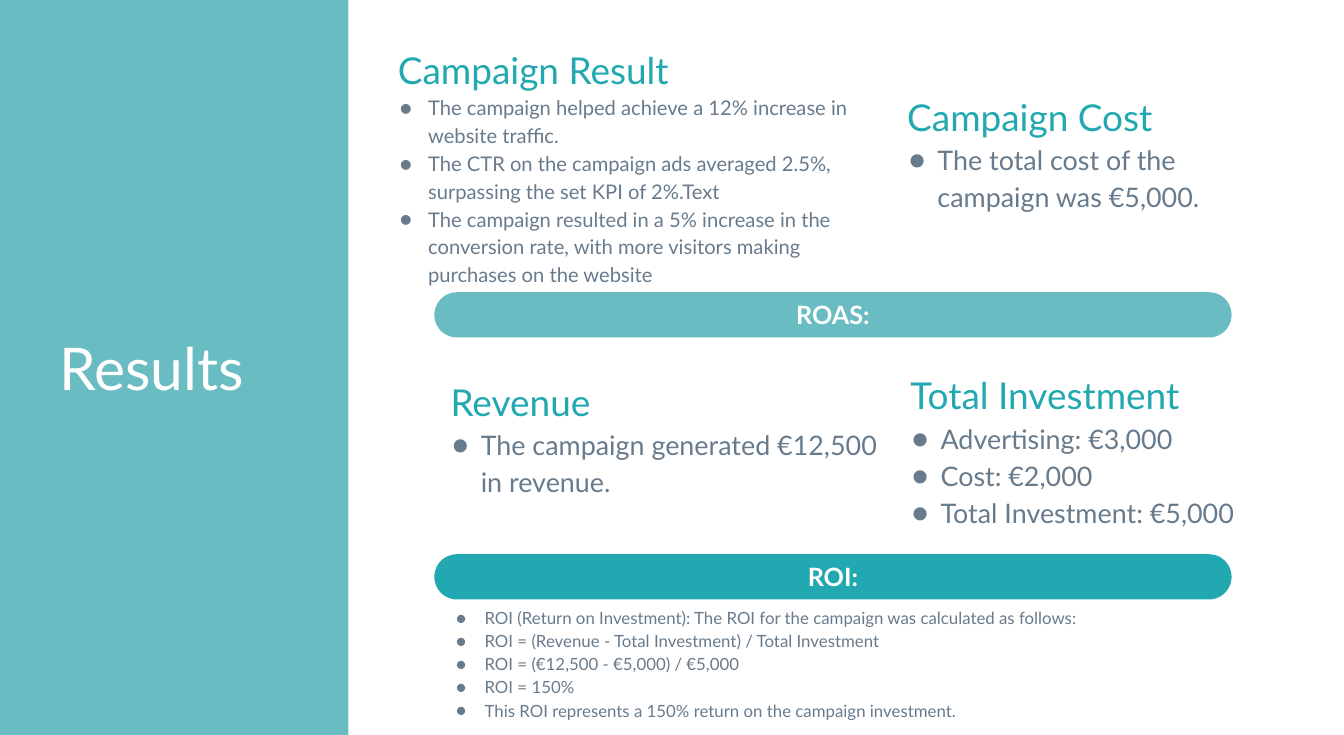
"""Build the campaign results slide."""
from dataclasses import dataclass

from lxml import etree
from pptx import Presentation
from pptx import util as u
from pptx.dml.color import RGBColor
from pptx.enum import shapes, text
from pptx.oxml import ns


@dataclass(frozen=True)
class Theme:
    font: str = "Lato"
    white: str = "FFFFFF"
    aqua: str = "69BCC1"
    teal: str = "21A8B0"
    slate: str = "677B8C"
    title: int = 70
    heading: int = 44
    label: int = 30
    large: int = 32
    medium: int = 24
    small: int = 20
    inset: float = 0.56
    heading_spacing: float = 1.5
    bullet_spacing: float = 1.15


THEME = Theme()


def add_run(paragraph, words, size, color, bold=False):
    run = paragraph.add_run()
    run.text = words
    run.font.name = THEME.font
    run.font.size = u.Pt(size)
    run.font.bold = bold
    run.font.color.rgb = RGBColor.from_string(color)


def add_filled_shape(slide, kind, box, color):
    shape = slide.shapes.add_shape(kind, *map(u.Cm, box))
    shape.shadow.inherit = False
    shape.fill.solid()
    shape.fill.fore_color.rgb = RGBColor.from_string(color)
    shape.line.fill.background()
    return shape


def add_text_frame(slide, box, anchor=text.MSO_ANCHOR.TOP):
    frame = slide.shapes.add_textbox(*map(u.Cm, box)).text_frame
    frame.word_wrap = True
    frame.vertical_anchor = anchor
    frame.margin_left = frame.margin_right = u.Cm(THEME.inset)
    frame.margin_top = frame.margin_bottom = u.Cm(THEME.inset)
    return frame


def add_bullet(paragraph):
    properties = paragraph._p.get_or_add_pPr()
    properties.set("marL", str(u.Cm(1.27)))
    properties.set("indent", str(u.Cm(-1.19)))
    color = etree.SubElement(properties, ns.qn("a:buClr"))
    etree.SubElement(color, ns.qn("a:srgbClr"), val=THEME.slate)
    etree.SubElement(properties, ns.qn("a:buFont"), typeface=THEME.font)
    etree.SubElement(properties, ns.qn("a:buChar"), char="●")


def add_text_block(slide, box, items, size, heading=None):
    frame = add_text_frame(slide, box)
    paragraph = frame.paragraphs[0]
    if heading:
        paragraph.line_spacing = THEME.heading_spacing
        add_run(paragraph, heading, THEME.heading, THEME.teal)
    for index, item in enumerate(items):
        if heading or index:
            paragraph = frame.add_paragraph()
        add_bullet(paragraph)
        paragraph.line_spacing = THEME.bullet_spacing
        add_run(paragraph, item, size, THEME.slate)


def add_label_bar(slide, top, color, label):
    bar = add_filled_shape(slide, shapes.MSO_SHAPE.ROUNDED_RECTANGLE,
                           (18.24, top, 33.48, 1.9), color)
    bar.adjustments[0] = 0.5
    frame = bar.text_frame
    frame.vertical_anchor = text.MSO_ANCHOR.MIDDLE
    frame.margin_top = frame.margin_bottom = 0
    paragraph = frame.paragraphs[0]
    paragraph.alignment = text.PP_ALIGN.CENTER
    add_run(paragraph, label, THEME.label, THEME.white, bold=True)


def add_title_panel(slide, title, height):
    add_filled_shape(slide, shapes.MSO_SHAPE.RECTANGLE, (0, 0, 14.63, height), THEME.aqua)
    frame = add_text_frame(slide, (1.93, 10.39, 11.51, 10.06), text.MSO_ANCHOR.MIDDLE)
    add_run(frame.paragraphs[0], title, THEME.title, THEME.white)


def main():
    width, height = 56.44, 30.86
    presentation = Presentation()
    presentation.slide_width = u.Cm(width)
    presentation.slide_height = u.Cm(height)
    slide = presentation.slides.add_slide(presentation.slide_layouts[6])

    add_title_panel(slide, "Results", height)
    add_label_bar(slide, 12.27, THEME.aqua, "ROAS:")
    add_label_bar(slide, 23.27, THEME.teal, "ROI:")

    add_text_block(slide, (16.15, 0.51, 20.9, 9.4), [
        "The campaign helped achieve a 12% increase in website traffic.",
        "The CTR on the campaign ads averaged 2.5%, surpassing the set KPI of 2%.Text",
        "The campaign resulted in a 5% increase in the conversion rate, "
        "with more visitors making purchases on the website",
    ], THEME.medium, "Campaign Result")
    add_text_block(slide, (37.54, 2.46, 17.02, 7.09), [
        "The total cost of the campaign was €5,000.",
    ], THEME.large, "Campaign Cost")
    add_text_block(slide, (18.36, 14.43, 19.18, 8.5), [
        "The campaign generated €12,500 in revenue.",
    ], THEME.large, "Revenue")
    add_text_block(slide, (37.67, 14.17, 18.7, 8.5), [
        "Advertising: €3,000",
        "Cost: €2,000",
        "Total Investment: €5,000",
    ], THEME.large, "Total Investment")
    add_text_block(slide, (18.52, 24.82, 33.2, 5.64), [
        "ROI (Return on Investment): The ROI for the campaign was calculated as follows:",
        "ROI = (Revenue - Total Investment) / Total Investment",
        "ROI = (€12,500 - €5,000) / €5,000",
        "ROI = 150%",
        "This ROI represents a 150% return on the campaign investment.",
    ], THEME.small)

    presentation.save("out.pptx")


if __name__ == "__main__":
    main()
